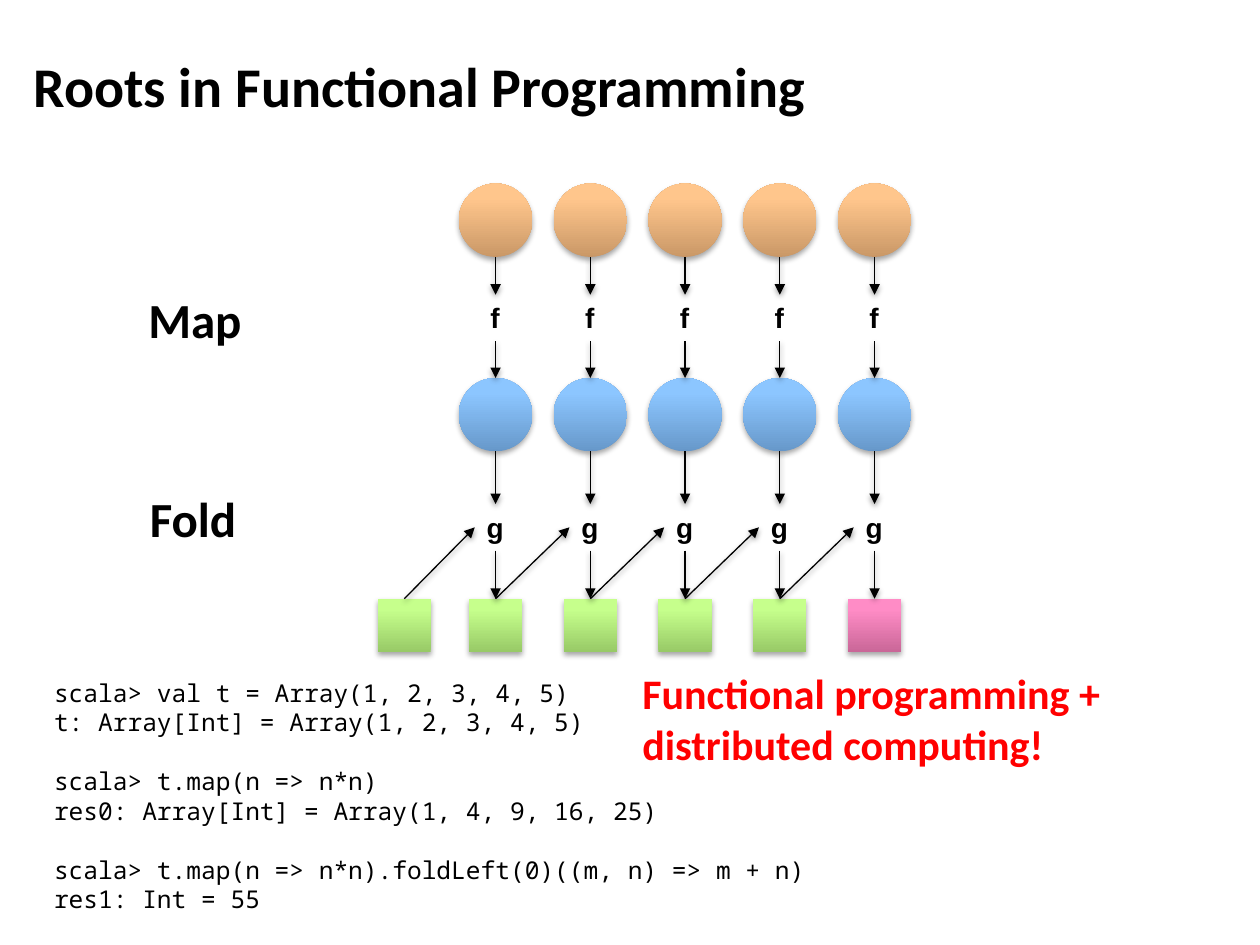
from lxml.etree import SubElement as Sub
from pptx import Presentation
from pptx.dml.color import RGBColor
from pptx.enum.shapes import MSO_CONNECTOR as Link, MSO_SHAPE as Form
from pptx.enum.text import MSO_ANCHOR as Anchor, MSO_AUTO_SIZE as Fit
from pptx.oxml.ns import qn
from pptx.util import Cm, Pt

BLACK = RGBColor(0x00, 0x00, 0x00)
RED = RGBColor(0xFF, 0x00, 0x00)
# Gradient colours from bottom to top
STOPS = (0, 80000, 100000)
ORANGE = (RGBColor(0xCA, 0x98, 0x67), RGBColor(0xFF, 0xC6, 0x8C), RGBColor(0xFF, 0xC7, 0x8E))
BLUE = (RGBColor(0x67, 0x98, 0xCA), RGBColor(0x8C, 0xC6, 0xFF), RGBColor(0x8E, 0xC7, 0xFF))
GREEN = (RGBColor(0x98, 0xCA, 0x67), RGBColor(0xC6, 0xFF, 0x8C), RGBColor(0xC7, 0xFF, 0x8E))
PINK = (RGBColor(0xCA, 0x67, 0x98), RGBColor(0xFF, 0x8C, 0xC6), RGBColor(0xFF, 0x8E, 0xC7))

# Grid in cm
COUNT, LEFT, STEP = 5, 9.99, 1.91
BALL, BOX = 1.48, 1.07
IN_TOP, F_TOP, OUT_TOP, G_TOP, BOX_TOP = 3.7, 5.94, 7.62, 10.16, 12.07
TALL = 0.94
START = 8.15


def shade(props, dist, alpha):
    effect = Sub(props, qn("a:effectLst"))
    drop = Sub(effect, qn("a:outerShdw"), blurRad="40000", dist=str(dist),
               dir="5400000", rotWithShape="0")
    color = Sub(drop, qn("a:srgbClr"), val=str(BLACK))
    Sub(color, qn("a:alpha"), val=str(alpha))


def write(at, rows, size, font, bold=True, color=BLACK, wrap=False, fit=Fit.SHAPE_TO_FIT_TEXT):
    box = slide.shapes.add_textbox(*[Cm(n) for n in at])
    frame = box.text_frame
    frame.word_wrap = wrap
    frame.auto_size = fit
    for i, (text, gap) in enumerate(rows):
        para = frame.add_paragraph() if i else frame.paragraphs[0]
        if gap:
            para.space_before = Pt(gap)
        run = para.add_run()
        run.text = text
        run.font.name, run.font.size, run.font.bold = font, Pt(size), bold
        run.font.color.rgb = color
    return frame


deck = Presentation()
deck.slide_width, deck.slide_height = Cm(25.4), Cm(19.05)
slide = deck.slides.add_slide(deck.slide_layouts[6])

# Lay out the nodes and arrows, one column per item
nodes = [(Form.RECTANGLE, START, BOX_TOP, BOX, GREEN)]
lines = []
last = START
for i in range(COUNT):
    x = LEFT + i * STEP
    nodes += [
        (Form.OVAL, x, IN_TOP, BALL, ORANGE),
        (Form.OVAL, x, OUT_TOP, BALL, BLUE),
        (Form.RECTANGLE, x, BOX_TOP, BOX, PINK if i == COUNT - 1 else GREEN),
    ]
    lines += [
        (x, IN_TOP + BALL, x, F_TOP),
        (x, F_TOP + TALL, x, OUT_TOP),
        (x, OUT_TOP + BALL, x, G_TOP),
        (x, G_TOP + TALL, x, BOX_TOP),
        (last, BOX_TOP, x - 0.42, G_TOP + TALL / 2),
    ]
    last = x

# Circles and squares
for form, x, top, size, tones in nodes:
    node = slide.shapes.add_shape(form, Cm(x - size / 2), Cm(top), Cm(size), Cm(size))
    node.line.fill.background()
    props = node.fill._xPr
    grad = props.makeelement(qn("a:gradFill"), {"rotWithShape": "1"})
    stops = Sub(grad, qn("a:gsLst"))
    for pos, tone in zip(STOPS, tones):
        Sub(Sub(stops, qn("a:gs"), pos=str(pos)), qn("a:srgbClr"), val=str(tone))
    Sub(grad, qn("a:lin"), ang="16200000", scaled="0")
    props.find(qn("a:prstGeom")).addnext(grad)
    shade(props, 23000, 35000)

# Arrows
for ends in lines:
    line = slide.shapes.add_connector(Link.STRAIGHT, *[Cm(n) for n in ends])
    line.line.width = Pt(0.75)
    line.line.color.rgb = BLACK
    props = line._element.spPr
    Sub(props.find(qn("a:ln")), qn("a:tailEnd"), type="triangle")
    shade(props, 20000, 38000)

# Function names
for name, top, wide in (("f", F_TOP, 0.71), ("g", G_TOP, 0.86)):
    for i in range(COUNT):
        write((LEFT + i * STEP - wide / 2, top, wide, TALL), [(name, 0)], 16, "Arial")

# Row labels
write((2.74, 5.72, 2.69, 1.45), [("Map", 0)], 28, "Calibri")
write((2.77, 9.73, 2.69, 1.45), [("Fold", 0)], 28, "Calibri")

# Title
title = write((0.43, 0.3, 24.13, 2.84), [("Roots in Functional Programming", 0)],
              32, "Calibri", wrap=True, fit=Fit.NONE)
title.vertical_anchor = Anchor.MIDDLE

# Scala session
code = [
    ("scala> val t = Array(1, 2, 3, 4, 5)", 0),
    ("t: Array[Int] = Array(1, 2, 3, 4, 5)", 0),
    ("scala> t.map(n => n*n)", 17),
    ("res0: Array[Int] = Array(1, 4, 9, 16, 25)", 0),
    ("scala> t.map(n => n*n).foldLeft(0)((m, n) => m + n)", 17),
    ("res1: Int = 55", 0),
]
write((0.84, 13.54, 22.86, 5.21), code, 14, "Noto Sans Mono", bold=False, wrap=True)

# Closing remark
write((12.7, 13.34, 12.07, 2.31), [("Functional programming + distributed computing!", 0)],
      24, "Calibri", color=RED, wrap=True)

deck.save("out.pptx")
